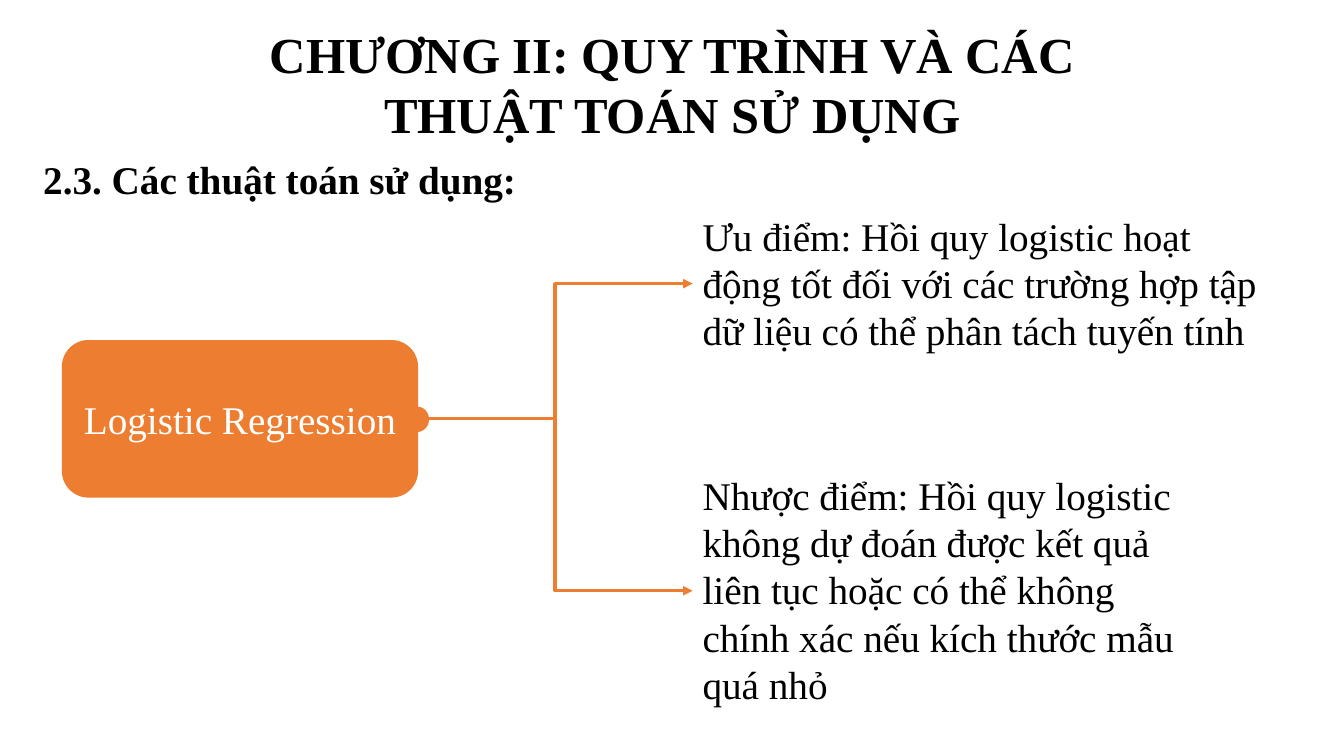
from pptx import Presentation
from pptx.dml.color import RGBColor
from pptx.enum import dml, shapes, text
from pptx.oxml import ns
from pptx.util import Inches, Pt
from lxml import etree

COLORS = {"ink": "000000", "accent": "ED7D31", "white": "FFFFFF"}
FONT = "Times New Roman"


def write(shape, words, size=28, color="ink", bold=False, align=text.PP_ALIGN.LEFT):
    para = shape.text_frame.paragraphs[0]
    para.alignment = align
    run = para.add_run()
    run.text = words
    run.font.name = FONT
    run.font.size = Pt(size)
    run.font.bold = bold
    run.font.color.rgb = RGBColor.from_string(COLORS[color])


def add_label(left, top, width, height, words, wrap=True, **style):
    box = slide.shapes.add_textbox(Inches(left), Inches(top), Inches(width), Inches(height))
    box.text_frame.word_wrap = wrap
    box.text_frame.auto_size = text.MSO_AUTO_SIZE.SHAPE_TO_FIT_TEXT
    write(box, words, **style)
    return box


deck = Presentation()
deck.slide_width, deck.slide_height = Inches(13.33), Inches(7.5)
slide = deck.slides.add_slide(deck.slide_layouts[6])
accent = RGBColor.from_string(COLORS["accent"])

# Headings
add_label(1.83, 0.18, 9.68, 1.31, "CHƯƠNG II: QUY TRÌNH VÀ CÁC THUẬT TOÁN SỬ DỤNG",
          size=36, bold=True, align=text.PP_ALIGN.CENTER)
add_label(0.33, 1.49, 4.95, 0.57, "2.3. Các thuật toán sử dụng:", wrap=False, bold=True)

# Algorithm box and its joint
nodes = []
for kind, left, top, width, height, weight in [
    (shapes.MSO_SHAPE.ROUNDED_RECTANGLE, 0.62, 3.38, 3.52, 1.55, 1),
    (shapes.MSO_SHAPE.FLOWCHART_CONNECTOR, 4.04, 4.05, 0.2, 0.22, 2.25),
]:
    node = slide.shapes.add_shape(kind, Inches(left), Inches(top), Inches(width), Inches(height))
    node.shadow.inherit = False
    node.fill.solid()
    node.fill.fore_color.rgb = accent
    node.line.color.rgb = accent
    node.line.width = Pt(weight)
    nodes.append(node)
model = nodes[0]
model.text_frame.word_wrap = True
model.text_frame.vertical_anchor = text.MSO_ANCHOR.MIDDLE
write(model, "Logistic Regression", color="white", align=text.PP_ALIGN.CENTER)

# Pros and cons, each reached by an elbow arrow
for top, width, height, words in [
    (2.06, 5.91, 1.51, "Ưu điểm: Hồi quy logistic hoạt động tốt đối với các trường hợp "
                       "tập dữ liệu có thể phân tách tuyến tính"),
    (4.63, 5.1, 2.46, "Nhược điểm: Hồi quy logistic không dự đoán được kết quả liên tục "
                      "hoặc có thể không chính xác nếu kích thước mẫu quá nhỏ"),
]:
    note = add_label(6.87, top, width, height, words)
    arrow = slide.shapes.add_connector(shapes.MSO_CONNECTOR.ELBOW, Inches(4.14), Inches(4.16),
                                       Inches(6.87), Inches(top + height / 2))
    arrow.begin_connect(model, 3)
    arrow.end_connect(note, 1)
    arrow.line.color.rgb = accent
    arrow.line.width = Pt(2.25)
    arrow.line.dash_style = dml.MSO_LINE.SOLID
    etree.SubElement(arrow.line._get_or_add_ln(), ns.qn("a:tailEnd"), type="triangle")
    etree.SubElement(arrow._element.spPr, ns.qn("a:effectLst"))

deck.save("out.pptx")
